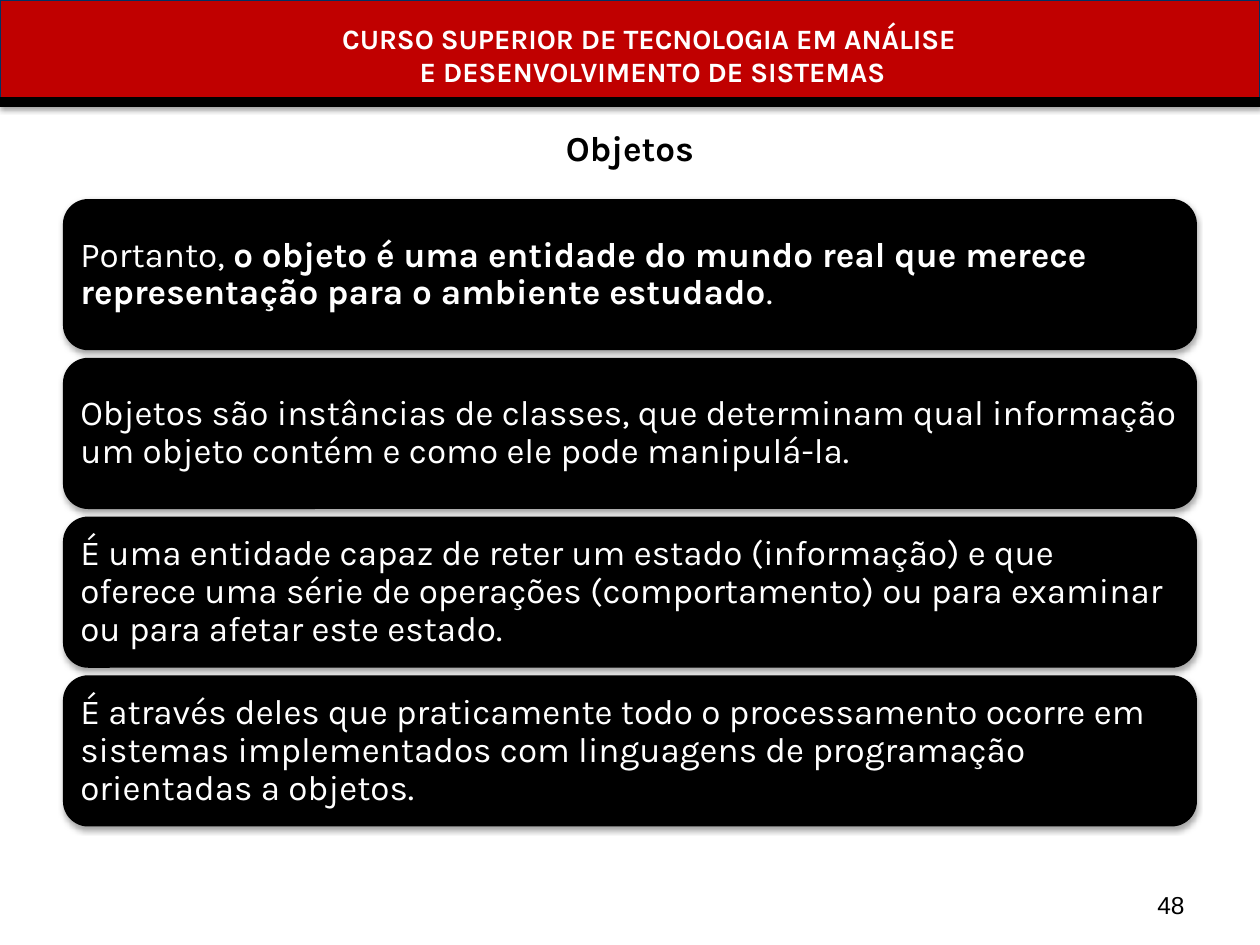
import pptx
import pptx.util
import pptx.dml.color
import pptx.enum.shapes
import pptx.enum.text
import pptx.oxml
import pptx.oxml.ns

Inches = pptx.util.Inches
Pt = pptx.util.Pt
SHAPE = pptx.enum.shapes.MSO_SHAPE
ALIGN = pptx.enum.text.PP_ALIGN
ANCHOR = pptx.enum.text.MSO_ANCHOR

COLORS = {"red": "C00000", "navy": "003264", "black": "000000", "white": "FFFFFF"}
HEADER = ["CURSO SUPERIOR DE TECNOLOGIA EM ANÁLISE ", "E DESENVOLVIMENTO DE SISTEMAS"]
TITLE = "Objetos"
PAGE = "48"
CARDS = [
    [("Portanto, ", False),
     ("o objeto é uma entidade do mundo real que merece representação para o ambiente estudado", True),
     (".", False)],
    [("Objetos são instâncias de classes, que determinam qual informação um objeto contém "
      "e como ele pode manipulá-la.", False)],
    [("É uma entidade capaz de reter um estado (informação) e que oferece uma série de operações "
      "(comportamento) ou para examinar ou para afetar este estado.", False)],
    [("É através deles que praticamente todo o processamento ocorre em sistemas implementados com "
      "linguagens de programação orientadas a objetos.", False)],
]
CARD_TOP, CARD_HEIGHT, CARD_GAP = 1.58, 1.2, 0.06
CARD_INSET = Inches(0.08)


def rgb(name):
    return pptx.dml.color.RGBColor.from_string(COLORS[name])


def style(r, size, color, bold=False, font="Karla"):
    r.font.name, r.font.size, r.font.bold = font, Pt(size), bold
    r.font.color.rgb = rgb(color)


def add_effects(sp, content=""):
    ns = pptx.oxml.ns.nsdecls("a")
    sp._element.spPr.append(pptx.oxml.parse_xml(f"<a:effectLst {ns}>{content}</a:effectLst>"))


def add_block(slide, shape, box, fill, line=None):
    sp = slide.shapes.add_shape(shape, *map(Inches, box))
    sp.fill.solid()
    sp.fill.fore_color.rgb = rgb(fill)
    if line:
        sp.line.color.rgb = rgb(line)
        sp.line.width = Pt(0.75)
    else:
        sp.line.fill.background()
    add_effects(sp, f'<a:outerShdw blurRad="{Pt(3.1)}" dist="{Pt(1.8)}" dir="5400000" rotWithShape="0">'
                    f'<a:srgbClr val="{COLORS["black"]}"><a:alpha val="35000"/></a:srgbClr></a:outerShdw>')
    return sp


def add_text(slide, box, lines, size, color, align, anchor, bold=False, font="Karla"):
    tf = slide.shapes.add_textbox(*map(Inches, box)).text_frame
    tf.word_wrap = True
    tf.vertical_anchor = anchor
    tf.text = "\n".join(lines)
    for p in tf.paragraphs:
        p.alignment = align
        for r in p.runs:
            style(r, size, color, bold, font)
    return tf


def add_card(slide, top, runs):
    sp = add_block(slide, SHAPE.ROUNDED_RECTANGLE, (0.5, top, 9, CARD_HEIGHT), "black")
    tf = sp.text_frame
    tf.word_wrap = True
    tf.vertical_anchor = ANCHOR.MIDDLE
    tf.margin_left = tf.margin_right = tf.margin_top = tf.margin_bottom = CARD_INSET
    p = tf.paragraphs[0]
    p.alignment = ALIGN.LEFT
    p.line_spacing = 0.9
    for text, bold in runs:
        r = p.add_run()
        r.text = text
        style(r, 20, "white", bold)


def main():
    prs = pptx.Presentation()
    prs.slide_width, prs.slide_height = Inches(10), Inches(7.5)
    s = prs.slides.add_slide(prs.slide_layouts[6])

    add_block(s, SHAPE.RECTANGLE, (0, 0, 10, 0.84), "red", "navy")
    add_text(s, (1.3, 0.12, 7.76, 0.64), HEADER, 16, "white", ALIGN.CENTER, ANCHOR.TOP, bold=True)
    rule = s.shapes.add_connector(pptx.enum.shapes.MSO_CONNECTOR.STRAIGHT,
                                  Inches(0), Inches(0.81), Inches(10), Inches(0.81))
    rule.line.color.rgb = rgb("black")
    rule.line.width = Pt(6)
    add_effects(rule)

    add_text(s, (0.5, 0.42, 9, 1.5), [TITLE], 20, "black", ALIGN.CENTER, ANCHOR.MIDDLE, bold=True)
    tf = add_text(s, (7.17, 6.83, 2.33, 0.52), [PAGE], 14, "black", ALIGN.RIGHT, ANCHOR.BOTTOM, font="Arial")
    tf.paragraphs[0].space_after = Pt(6)

    for i, runs in enumerate(CARDS):
        add_card(s, CARD_TOP + i * (CARD_HEIGHT + CARD_GAP), runs)
    prs.save("out.pptx")


if __name__ == "__main__":
    main()
